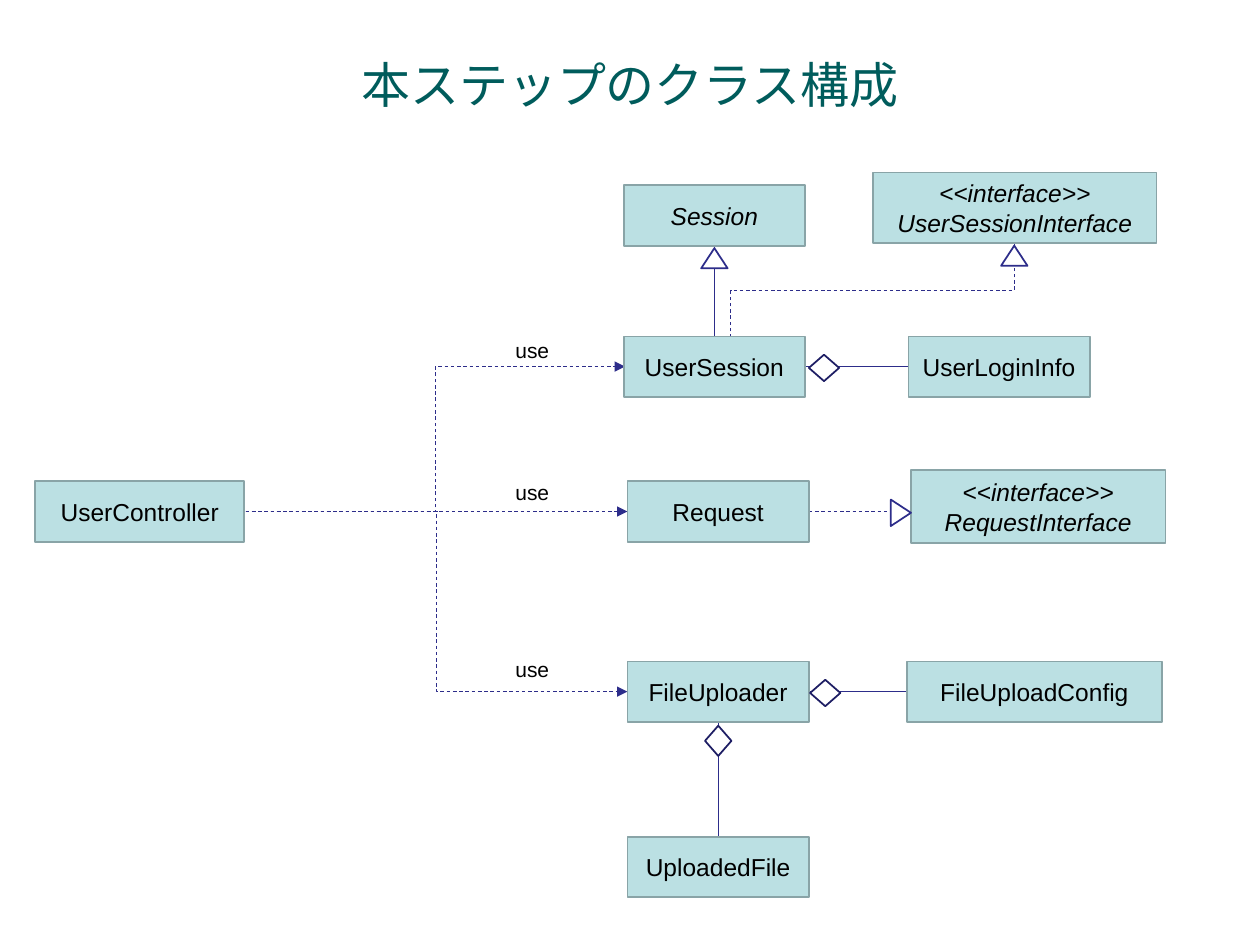
from pptx import Presentation
from pptx.dml.color import RGBColor
from pptx.enum.dml import MSO_LINE as DASH
from pptx.enum.shapes import MSO_CONNECTOR as CONN, MSO_SHAPE as SHAPE
from pptx.enum.text import MSO_ANCHOR as ANCHOR, PP_ALIGN as ALIGN
from pptx.oxml.ns import qn
from pptx.util import Inches, Pt
from lxml.etree import SubElement

TEAL = RGBColor(0x00, 0x5C, 0x5C)
BLACK = RGBColor(0x00, 0x00, 0x00)
WHITE = RGBColor(0xFF, 0xFF, 0xFF)
AQUA = RGBColor(0xBB, 0xE0, 0xE3)
GRAY = RGBColor(0x89, 0xA4, 0xA7)
BLUE = RGBColor(0x2D, 0x2D, 0x8A)
NAVY = RGBColor(0x1E, 0x1E, 0x64)

COLS, ROWS = 100, 75


class ClassDiagram:
    title_format = {"name": "Arial", "size": Pt(28)}
    class_format = {"name": "Arial", "size": Pt(14), "italic": False}
    abstract_format = {**class_format, "italic": True}
    label_format = {"name": "Arial", "size": Pt(12)}

    def __init__(self, prs):
        self.slide = prs.slides.add_slide(prs.slide_layouts[5])
        self.shapes = self.slide.shapes
        self.col = prs.slide_width / COLS
        self.row = prs.slide_height / ROWS

    def place(self, x, y, w, h):
        return (round(x * self.col), round(y * self.row),
                round(w * self.col), round(h * self.row))

    def set_text(self, sp, text, fmt, color=BLACK, anchor=ANCHOR.MIDDLE):
        tf = sp.text_frame
        tf.text = text
        tf.word_wrap = True
        tf.vertical_anchor = anchor
        for p in tf.paragraphs:
            p.alignment = ALIGN.CENTER
            for r in p.runs:
                r.font.color.rgb = color
                for key, value in fmt.items():
                    setattr(r.font, key, value)

    def title(self, text, x, y, w, h):
        sp = self.shapes.title
        sp.left, sp.top, sp.width, sp.height = self.place(x, y, w, h)
        self.set_text(sp, text, self.title_format, TEAL)

    def shape(self, kind, x, y, w, h, fill, line):
        sp = self.shapes.add_shape(kind, *self.place(x, y, w, h))
        sp.shadow.inherit = False
        sp.fill.solid()
        sp.fill.fore_color.rgb = fill
        sp.line.color.rgb = line
        sp.line.width = Pt(1)
        return sp

    def box(self, text, x, middle, w=14.4, h=4.8, abstract=False):
        sp = self.shape(SHAPE.RECTANGLE, x, middle - h / 2, w, h, AQUA, GRAY)
        self.set_text(sp, text, self.abstract_format if abstract else self.class_format)

    def label(self, text, x, y, w=5.3, h=3):
        sp = self.shapes.add_textbox(*self.place(x, y, w, h))
        self.set_text(sp, text, self.label_format, anchor=ANCHOR.TOP)

    def triangle(self, cx, cy, rotation=0):
        sp = self.shape(SHAPE.ISOSCELES_TRIANGLE, cx - 1.05, cy - 0.8, 2.1, 1.6, WHITE, BLUE)
        sp.rotation = rotation

    def diamond(self, cx, cy, rotation=0):
        sp = self.shape(SHAPE.FLOWCHART_DECISION, cx - 1.2, cy - 1.05, 2.4, 2.1, WHITE, NAVY)
        sp.rotation = rotation

    def line(self, x1, y1, x2, y2, kind=CONN.STRAIGHT, dashed=False, arrow=False):
        sp = self.shapes.add_connector(kind, *self.place(x1, y1, x2, y2))
        sp.line.color.rgb = BLUE
        sp.line.width = Pt(0.5)
        if dashed:
            sp.line.dash_style = DASH.DASH
        if arrow:
            SubElement(sp.element.spPr.find(qn("a:ln")), qn("a:tailEnd"), type="triangle")
        SubElement(sp.element.spPr, qn("a:effectLst"))
        return sp

    def use(self, x1, y1, x2, y2):
        self.line(x1, y1, x2, y2, CONN.ELBOW, dashed=True, arrow=True)

    def upright_elbow(self, x1, y1, x2, y2):
        cx, cy = (x1 + x2) / 2, (y1 + y2) / 2
        dx, dy = (x2 - x1) / 2, (y2 - y1) / 2
        sp = self.line(cx - dy, cy + dx, cx + dy, cy - dx, CONN.ELBOW, dashed=True)
        sp.element.spPr.find(qn("a:xfrm")).set("rot", "5400000")


def main():
    prs = Presentation()
    prs.slide_width, prs.slide_height = Inches(10), Inches(7.5)
    d = ClassDiagram(prs)
    parent, session, request, upload, uploaded = 17.1, 29.1, 40.6, 54.9, 68.8

    d.title("本ステップのクラス構成", 7.5, 2.5, 85, 8.3)

    d.upright_elbow(58, 26.8, 80.5, 19.3)
    d.line(57, 66.4, 57, 57.3)
    d.line(72.1, session, 63.9, session)
    d.line(72, upload, 64, upload)
    d.line(56.7, 19.5, 56.7, 26.7)
    d.line(64.2, request, 70.7, request, dashed=True)
    for x, y in ((49.6, session), (49.8, request), (49.8, upload)):
        d.use(19.5, request, x, y)

    for text, x, y in (("Session", 49.5, parent), ("UserSession", 49.5, session),
                       ("Request", 49.8, request), ("FileUploader", 49.8, upload),
                       ("UploadedFile", 49.8, uploaded), ("UserLoginInfo", 72.1, session)):
        d.box(text, x, y, abstract=text == "Session")
    d.box("UserController", 2.8, request, w=16.6)
    d.box("FileUploadConfig", 72, upload, w=20.2)
    d.box("<<interface>>\nUserSessionInterface", 69.3, 16.5, 22.5, 5.6, abstract=True)
    d.box("<<interface>>\nRequestInterface", 72.3, 40.2, 20.2, 5.8, abstract=True)

    for y in (26.3, 37.6, 51.6):
        d.label("use", 39.6, y)

    d.triangle(56.7, 20.5)
    d.triangle(80.5, 20.3)
    d.triangle(71.5, 40.7, 90)
    d.diamond(65.4, 29.2)
    d.diamond(65.5, 55)
    d.diamond(57, 58.8, 90)

    prs.save("out.pptx")


if __name__ == "__main__":
    main()
